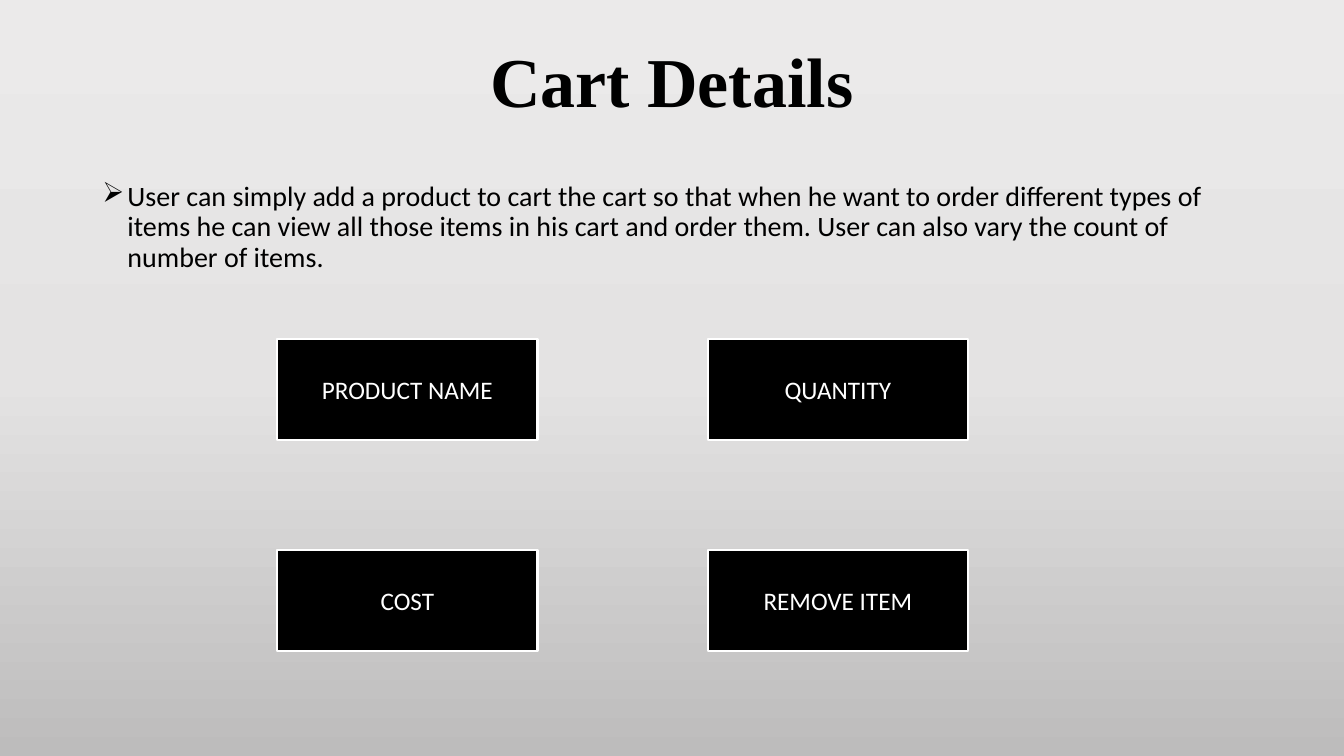
from copy import deepcopy

from lxml import etree
from pptx import Presentation
from pptx.dml.color import RGBColor
from pptx.enum.shapes import MSO_SHAPE
from pptx.enum.text import MSO_ANCHOR, MSO_AUTO_SIZE, PP_ALIGN
from pptx.oxml.ns import qn
from pptx.util import Pt

RECTANGLE = MSO_SHAPE.RECTANGLE
TOP, MIDDLE = MSO_ANCHOR.TOP, MSO_ANCHOR.MIDDLE
LEFT, CENTER = PP_ALIGN.LEFT, PP_ALIGN.CENTER
NO_AUTOFIT = MSO_AUTO_SIZE.NONE

HEADING = "Cart Details"
DESCRIPTION = (
    "User can simply add a product to cart the cart so that when he want to order "
    "different types of items he can view all those items in his cart and order them. "
    "User can also vary the count of number of items."
)
CART_FIELDS = [["PRODUCT NAME", "QUANTITY"], ["COST", "REMOVE ITEM"]]
BULLET = "➢"
BACKDROP = [(0, "EBEAEA"), (0.5, "E4E3E3"), (1, "BDBCBC")]

HEADING_FONT = {"name": "Times New Roman", "size": Pt(50), "bold": True}
DESCRIPTION_FONT = {"name": "Calibri", "size": Pt(20)}
FIELD_FONT = {"name": "Calibri", "size": Pt(18)}

EMU_PER_PX = 9525
SLIDE_SIZE = (1280, 720)
HEADING_BOX = (88, 11, 1104, 139)
DESCRIPTION_BOX = (88, 169, 1104, 457)
GRID_LEFT, GRID_TOP = 264, 323
FIELD_WIDTH, FIELD_HEIGHT = 248, 96
COLUMN_PITCH, ROW_PITCH = 410, 201
BULLET_INDENT = 24


def px(*lengths):
    return [length * EMU_PER_PX for length in lengths]


def color(code):
    return RGBColor.from_string(code)


def write(shape, text, font, ink, anchor, align, spacing):
    frame = shape.text_frame
    frame.text = text
    paragraph = frame.paragraphs[0]
    run_font = paragraph.runs[0].font
    frame_format = {"word_wrap": True, "auto_size": NO_AUTOFIT, "vertical_anchor": anchor}
    paragraph_format = {"alignment": align, "line_spacing": spacing}
    for target, values in (
        (frame, frame_format),
        (paragraph, paragraph_format),
        (run_font, font),
    ):
        for key, value in values.items():
            setattr(target, key, value)
    run_font.color.rgb = color(ink)
    return paragraph


def paint_backdrop(slide):
    fill = slide.background.fill
    fill.gradient()
    fill.gradient_angle = 270
    stops = slide.element.find(".//" + qn("a:gsLst"))
    stops.append(deepcopy(stops[0]))
    for stop, (position, code) in zip(fill.gradient_stops, BACKDROP):
        stop.position = position
        stop.color.rgb = color(code)


def add_description(slide):
    box = slide.shapes.add_textbox(*px(*DESCRIPTION_BOX))
    paragraph = write(box, DESCRIPTION, DESCRIPTION_FONT, "000000", TOP, LEFT, 0.9)
    properties = paragraph._p.get_or_add_pPr()
    indent = BULLET_INDENT * EMU_PER_PX
    properties.set("marL", str(indent))
    properties.set("indent", str(-indent))
    etree.SubElement(properties, qn("a:buChar")).set("char", BULLET)


def add_field(slide, label, column, row):
    left = GRID_LEFT + column * COLUMN_PITCH
    top = GRID_TOP + row * ROW_PITCH
    field = slide.shapes.add_shape(RECTANGLE, *px(left, top, FIELD_WIDTH, FIELD_HEIGHT))
    field.shadow.inherit = False
    field.fill.solid()
    field.fill.fore_color.rgb = color("000000")
    field.line.color.rgb = color("FFFFFF")
    field.line.width = Pt(1.5)
    write(field, label, FIELD_FONT, "FFFFFF", MIDDLE, CENTER, 1.0)


def main():
    deck = Presentation()
    deck.slide_width, deck.slide_height = px(*SLIDE_SIZE)
    slide = deck.slides.add_slide(deck.slide_layouts[5])
    paint_backdrop(slide)

    heading = slide.shapes.title
    heading.left, heading.top, heading.width, heading.height = px(*HEADING_BOX)
    write(heading, HEADING, HEADING_FONT, "000000", MIDDLE, CENTER, 0.9)

    add_description(slide)
    for row, labels in enumerate(CART_FIELDS):
        for column, label in enumerate(labels):
            add_field(slide, label, column, row)
    deck.save("out.pptx")


if __name__ == "__main__":
    main()
